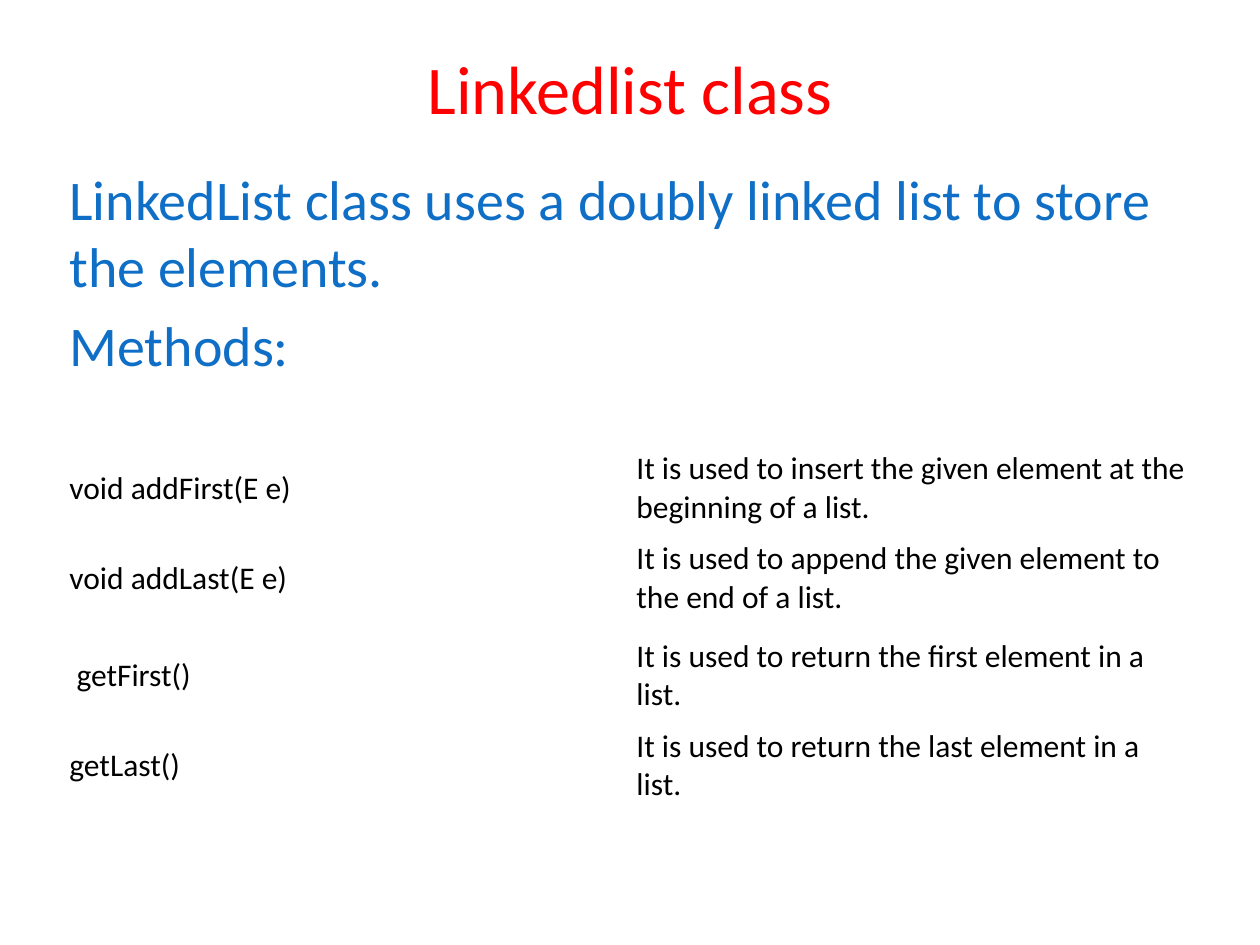
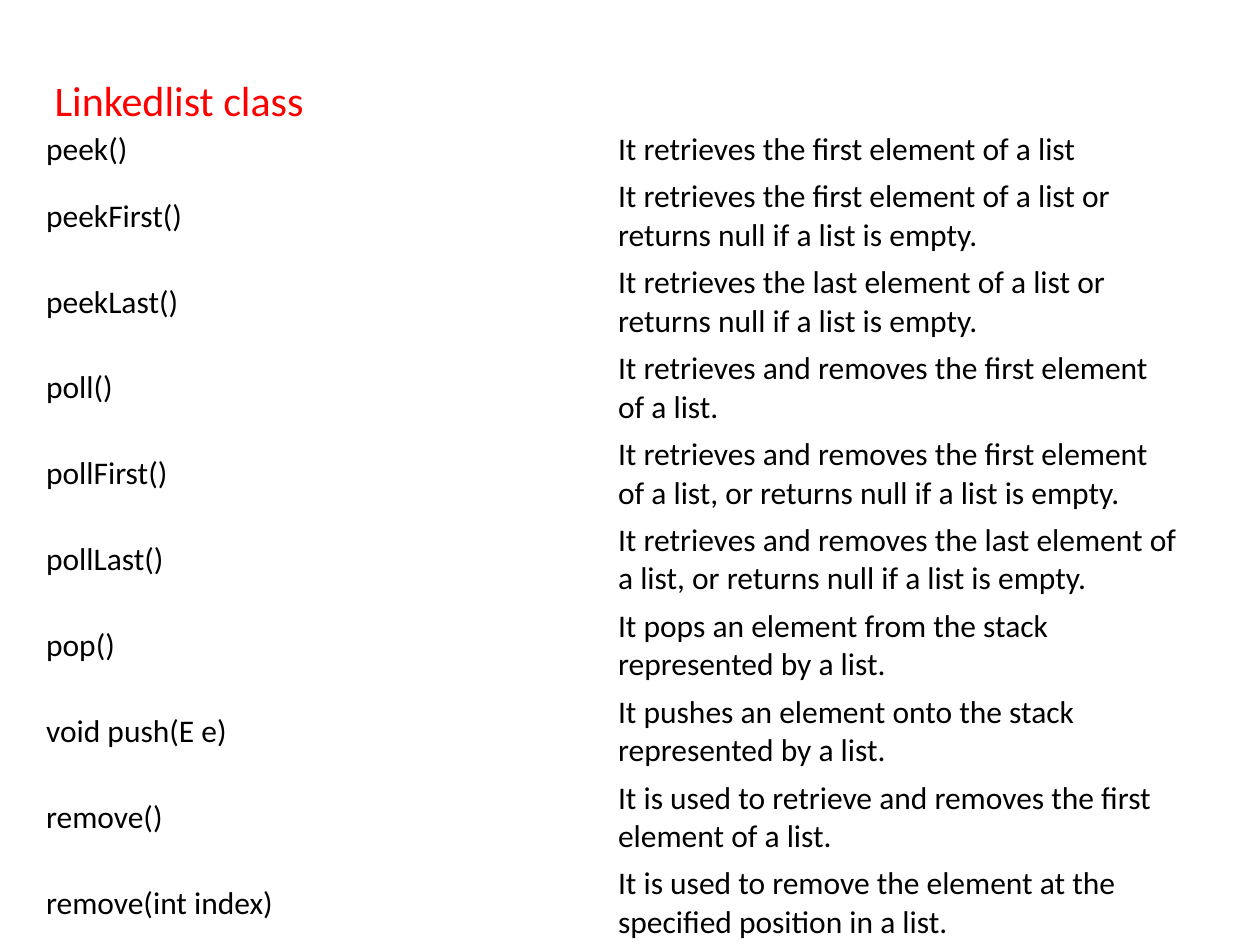
from pptx import Presentation
from pptx.dml.color import RGBColor
from pptx.enum.text import MSO_ANCHOR, MSO_AUTO_SIZE, PP_ALIGN
from pptx.util import Cm, Pt
from lxml.etree import SubElement
from pptx.oxml.ns import qn

RED = RGBColor(0xFF, 0x00, 0x00)
BLUE = RGBColor(0x0F, 0x6F, 0xC6)
BLACK = RGBColor(0x00, 0x00, 0x00)
FACE = "Calibri"
HEAD = "Linkedlist class"
INSET = Cm(0.13)

INTRO = [
    "LinkedList class uses a doubly linked list to store the elements.",
    "Methods:",
]
ADD = [
    ("void addFirst(E e)", "It is used to insert the given element at the beginning of a list."),
    ("void addLast(E e)", "It is used to append the given element to the end of a list."),
]
GET = [
    (" getFirst()", "It is used to return the first element in a list."),
    ("getLast()", "It is used to return the last element in a list."),
]
MORE = [
    ("peek()", "It retrieves the first element of a list"),
    ("peekFirst()", "It retrieves the first element of a list or returns null if a list is empty."),
    ("peekLast()", "It retrieves the last element of a list or returns null if a list is empty."),
    ("poll()", "It retrieves and removes the first element of a list."),
    ("pollFirst()", "It retrieves and removes the first element of a list, "
                    "or returns null if a list is empty."),
    ("pollLast()", "It retrieves and removes the last element of a list, "
                   "or returns null if a list is empty."),
    ("pop()", "It pops an element from the stack represented by a list."),
    ("void push(E e)", "It pushes an element onto the stack represented by a list."),
    ("remove()", "It is used to retrieve and removes the first element of a list."),
    ("remove(int index)", "It is used to remove the element at the specified position in a list."),
]


def style(para, size, color):
    for run in para.runs:
        run.font.name = FACE
        run.font.size = Pt(size)
        run.font.color.rgb = color


def pad(item, gap):
    item.margin_left = item.margin_right = gap
    item.margin_top = item.margin_bottom = gap


def place(shape, left, top, width, height):
    shape.left, shape.top = Cm(left), Cm(top)
    shape.width, shape.height = Cm(width), Cm(height)
    frame = shape.text_frame
    frame.word_wrap = True
    frame.auto_size = MSO_AUTO_SIZE.NONE
    pad(frame, INSET)
    return frame


def add_title(slide, box, size, align, anchor):
    frame = place(slide.shapes.title, *box)
    frame.text = HEAD
    frame.vertical_anchor = anchor
    para = frame.paragraphs[0]
    para.alignment = align
    style(para, size, RED)


def add_body(slide, box, lines):
    frame = place(slide.placeholders[1], *box)
    frame.text = "\n".join(lines)
    for index, para in enumerate(frame.paragraphs):
        props = para._p.get_or_add_pPr()
        props.set("marL", "0")
        props.set("indent", "0")
        SubElement(props, qn("a:buNone"))
        para.space_before = Pt(7 if index else 0)
        style(para, 32, BLUE)


def add_grid(slide, left, top, width, rows, highs, gap):
    frame = slide.shapes.add_table(
        len(rows), 2, Cm(left), Cm(top), Cm(width), Cm(sum(highs)))
    table = frame.table
    table.first_row = table.horz_banding = False
    for col in table.columns:
        col.width = Cm(width / 2)
    for row, high, texts in zip(table.rows, highs, rows):
        row.height = Cm(high)
        for cell, text in zip(row.cells, texts):
            cell.fill.background()
            cell.vertical_anchor = MSO_ANCHOR.MIDDLE
            pad(cell, gap)
            cell.text_frame.text = text
            style(cell.text_frame.paragraphs[0], 18, BLACK)


def main():
    deck = Presentation()
    deck.slide_width, deck.slide_height = Cm(25.4), Cm(19.05)

    intro = deck.slides.add_slide(deck.slide_layouts[1])
    add_title(intro, (1.27, 0.76, 22.86, 2), 39, PP_ALIGN.CENTER, MSO_ANCHOR.MIDDLE)
    add_body(intro, (1.27, 3.18, 22.86, 13.84), INTRO)
    for top, rows in ((8.94, ADD), (12.72, GET)):
        add_grid(intro, 1.27, top, 22.86, rows, [1.8] * len(rows), INSET)

    more = deck.slides.add_slide(deck.slide_layouts[5])
    add_title(more, (0.97, 1.37, 12.47, 1.1), 24, PP_ALIGN.LEFT, MSO_ANCHOR.TOP)
    highs = [0.86] + [1.52] * (len(MORE) - 1)
    add_grid(more, 0.84, 2.54, 23.06, MORE, highs, Cm(0.09))

    deck.save("out.pptx")


if __name__ == "__main__":
    main()
